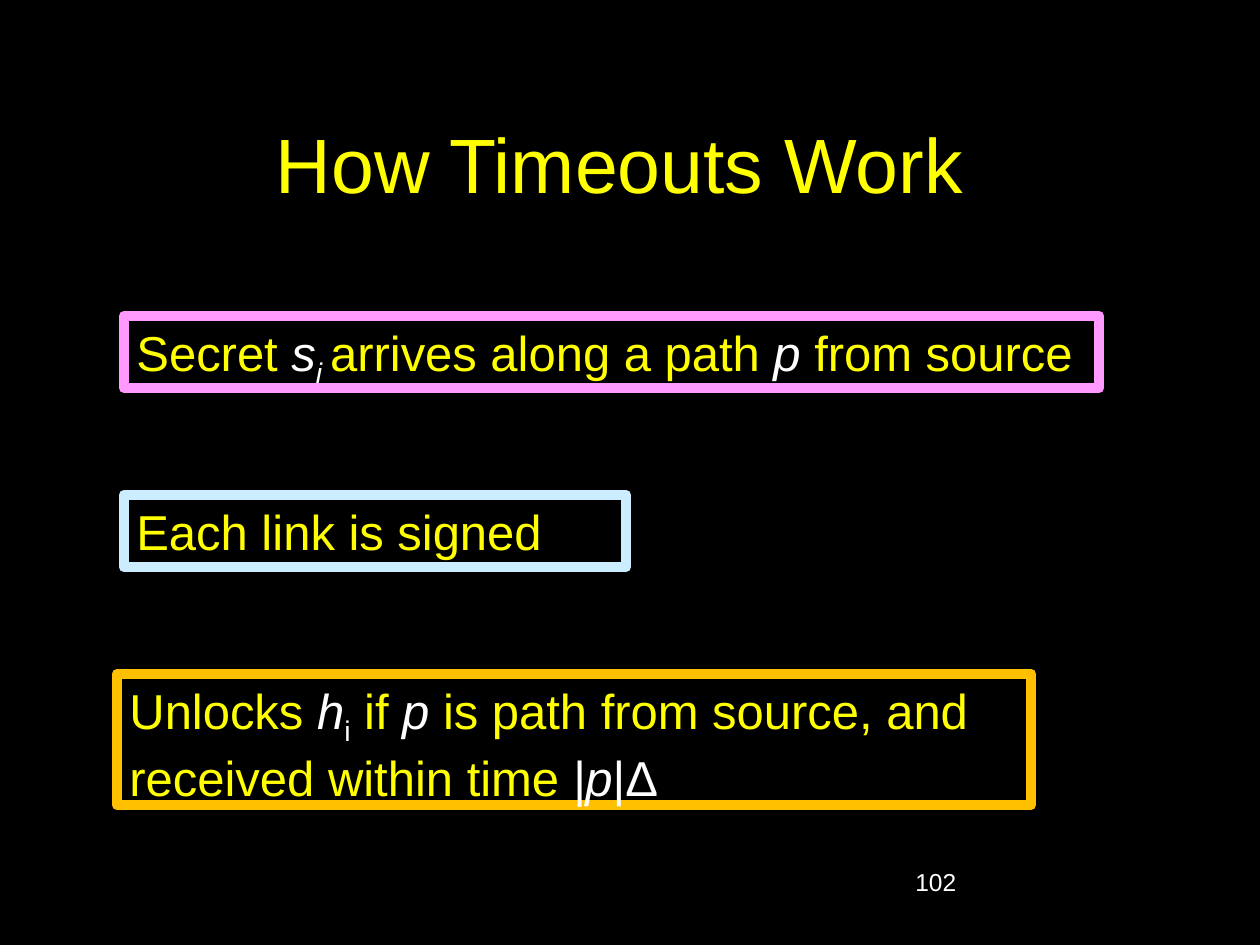
from typing import NamedTuple

import pptx
import pptx.dml.color
import pptx.enum.shapes
import pptx.enum.text
import pptx.util

EMU_PER_PX = 914400 / 126
FONT = "Arial"
YELLOW, WHITE, BLACK = "FFFF00", "FFFFFF", "000000"


class Piece(NamedTuple):
    text: str
    color: str = YELLOW
    italic: bool = False
    subscript: bool = False


class Statement(NamedTuple):
    left: int
    top: int
    width: int
    height: int
    border: str
    pieces: list[Piece]


def variable(text: str, italic: bool = True, subscript: bool = False) -> Piece:
    return Piece(text, WHITE, italic, subscript)


STATEMENTS = [
    Statement(124, 316, 975, 72, "FF99FF", [
        Piece("Secret "), variable("s"), variable("i ", subscript=True),
        Piece("arrives along a path "), variable("p"), Piece(" from source"),
    ]),
    Statement(124, 495, 502, 72, "CCECFF", [Piece("Each link is signed")]),
    Statement(117, 674, 914, 131, "FFC000", [
        Piece("Unlocks "), variable("h"),
        variable("i", italic=False, subscript=True),
        Piece(" if "), variable("p"),
        Piece(" is path from source, and received within time "),
        variable("|p"), variable("|Δ", italic=False),
    ]),
]


def px(length: int) -> int:
    return round(length * EMU_PER_PX)


def rgb(color: str) -> pptx.dml.color.RGBColor:
    return pptx.dml.color.RGBColor.from_string(color)


def format_run(run, size: int, color: str) -> None:
    run.font.name = FONT
    run.font.size = pptx.util.Pt(size)
    run.font.color.rgb = rgb(color)


def add_title(slide, text: str) -> None:
    title = slide.shapes.title
    title.left, title.top, title.width, title.height = map(px, (95, 84, 1071, 158))
    frame = title.text_frame
    frame.text = text
    frame.vertical_anchor = pptx.enum.text.MSO_ANCHOR.MIDDLE
    frame.paragraphs[0].alignment = pptx.enum.text.PP_ALIGN.CENTER
    format_run(frame.paragraphs[0].runs[0], 44, YELLOW)


def add_page_number(slide, text: str) -> None:
    box = slide.shapes.add_textbox(px(903), px(861), px(262), px(63))
    box.text_frame.word_wrap = True
    box.text_frame.text = text
    format_run(box.text_frame.paragraphs[0].runs[0], 14, WHITE)


def add_statement(slide, statement: Statement) -> None:
    shape = slide.shapes.add_shape(
        pptx.enum.shapes.MSO_SHAPE.RECTANGLE,
        px(statement.left), px(statement.top),
        px(statement.width), px(statement.height),
    )
    shape.shadow.inherit = False
    shape.fill.solid()
    shape.fill.fore_color.rgb = rgb(BLACK)
    shape.line.color.rgb = rgb(statement.border)
    shape.line.width = pptx.util.Pt(6)
    frame = shape.text_frame
    frame.word_wrap = True
    frame.vertical_anchor = pptx.enum.text.MSO_ANCHOR.TOP
    paragraph = frame.paragraphs[0]
    paragraph.alignment = pptx.enum.text.PP_ALIGN.LEFT
    for piece in statement.pieces:
        run = paragraph.add_run()
        run.text = piece.text
        format_run(run, 28, piece.color)
        run.font.italic = piece.italic
        if piece.subscript:
            run._r.get_or_add_rPr().set("baseline", "-25000")


def main() -> None:
    presentation = pptx.Presentation()
    presentation.slide_width = px(1260)
    presentation.slide_height = px(945)
    slide = presentation.slides.add_slide(presentation.slide_layouts.get_by_name("Title Only"))
    slide.background.fill.solid()
    slide.background.fill.fore_color.rgb = rgb(BLACK)
    add_title(slide, "How Timeouts Work ")
    add_page_number(slide, "102")
    for statement in STATEMENTS:
        add_statement(slide, statement)
    presentation.save("out.pptx")


if __name__ == "__main__":
    main()
